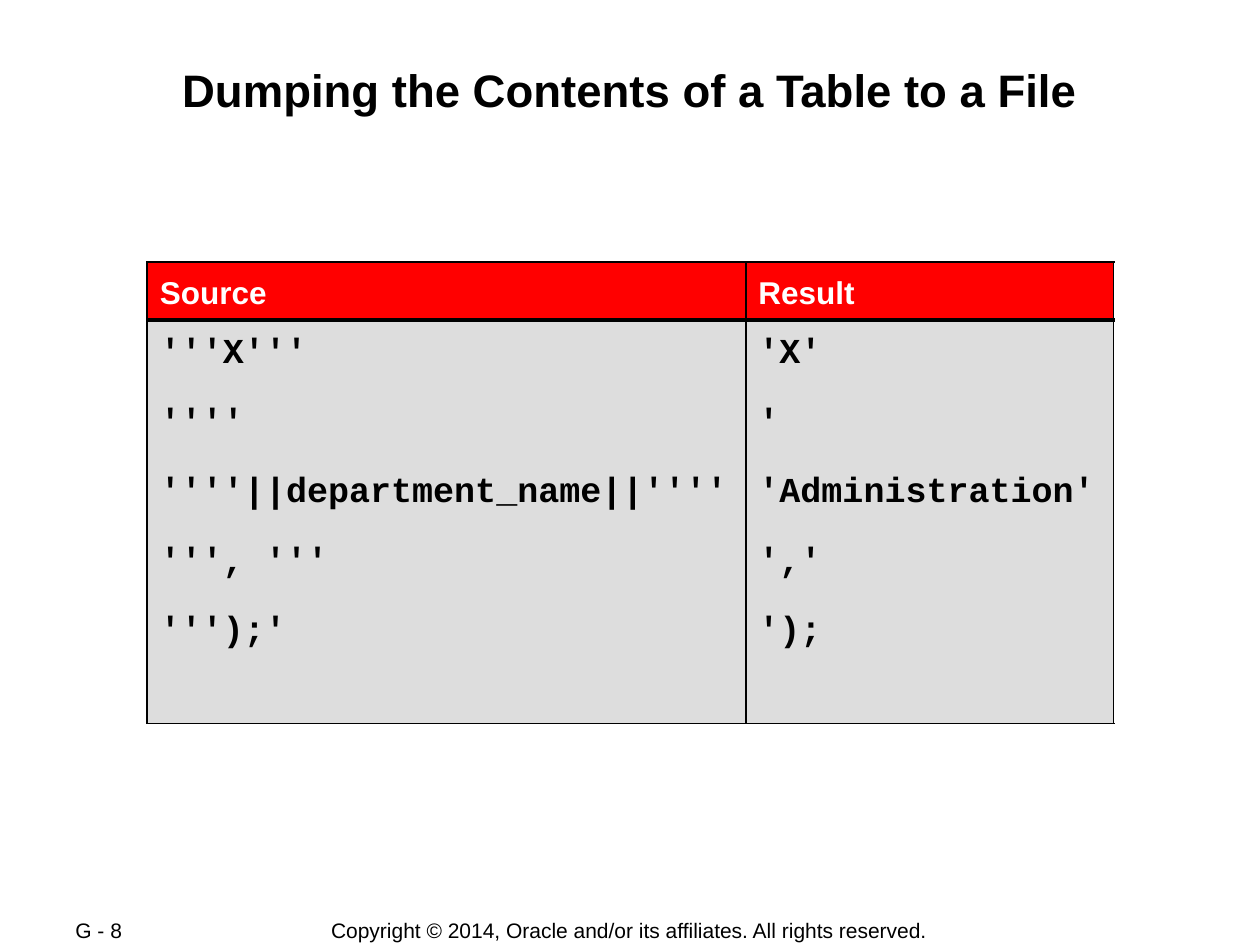
from dataclasses import dataclass

import pptx
import pptx.dml.color
import pptx.enum.text
import pptx.oxml
import pptx.oxml.ns
import pptx.util

Pt = pptx.util.Pt
ALIGN = pptx.enum.text.PP_ALIGN
ANCHOR = pptx.enum.text.MSO_ANCHOR

COLORS = {
    "black": "000000",
    "white": "FFFFFF",
    "header": "FF0000",
    "body": "DDDDDD",
}
THIN, THICK = 1.08, 2.21


@dataclass
class TextArea:
    lines: list[str]
    left: float
    top: float
    width: float
    height: float
    size: float
    align: ALIGN = ALIGN.LEFT
    anchor: ANCHOR = ANCHOR.MIDDLE
    bold: bool = False
    side_margin: float = 7.2
    end_margin: float = 3.6


@dataclass
class TableRow:
    cells: list[list[str]]
    height: float
    fill: str
    color: str
    font: str
    size: float
    gap: float
    top_border: float
    bottom_border: float


TEXT_AREAS = [
    TextArea(["Copyright © 2014, Oracle and/or its affiliates. All rights reserved."],
             179.6, 524.2, 360, 15.1, 12, align=ALIGN.CENTER, side_margin=0),
    TextArea(["G - 8"], 36, 524.2, 76.3, 14.4, 12),
    TextArea(["Dumping the Contents of a Table to a File"],
             48.2, 34.6, 623.5, 69.1, 26, align=ALIGN.CENTER,
             anchor=ANCHOR.TOP, bold=True, side_margin=0.72, end_margin=0.72),
]

COLUMN_WIDTHS = [342, 210.2]
TABLE_LEFT, TABLE_TOP = 84.2, 149.8
TABLE_ROWS = [
    TableRow([["Source"], ["Result"]], 33.1, "header", "white", "Arial", 18, 0,
             THIN, THICK),
    TableRow(
        [
            ["'''X'''", "''''", "''''||department_name||''''", "''', '''", "''');'"],
            ["'X'", "'", "'Administration'", "','", "');"],
        ],
        230.4, "body", "black", "Courier New", 20, 12.5, THICK, THIN),
]


def rgb(name: str) -> pptx.dml.color.RGBColor:
    return pptx.dml.color.RGBColor.from_string(COLORS[name])


def write_text(frame, lines: list[str], *, size: float, font: str = "Arial",
               color: str = "black", bold: bool = False, align=ALIGN.LEFT,
               gap: float = 0, line_spacing: float = 1.0) -> None:
    """Write one paragraph per line, with gap points between them."""
    for index, line in enumerate(lines):
        paragraph = frame.add_paragraph() if index else frame.paragraphs[0]
        paragraph.alignment = align
        paragraph.line_spacing = line_spacing
        paragraph.space_before = Pt(gap if index else 0)
        run = paragraph.add_run()
        run.text = line
        run.font.name = font
        run.font.size = Pt(size)
        run.font.bold = bold
        run.font.color.rgb = rgb(color)


def add_text_area(slide, area: TextArea) -> None:
    box = slide.shapes.add_textbox(
        Pt(area.left), Pt(area.top), Pt(area.width), Pt(area.height))
    frame = box.text_frame
    frame.word_wrap = True
    frame.vertical_anchor = area.anchor
    frame.margin_left = frame.margin_right = Pt(area.side_margin)
    frame.margin_top = frame.margin_bottom = Pt(area.end_margin)
    write_text(frame, area.lines, size=area.size, bold=area.bold, align=area.align)


def set_borders(cell, widths: dict[str, float]) -> None:
    """Draw black borders, ahead of the cell fill as the schema requires."""
    properties = cell._tc.get_or_add_tcPr()
    for position, (side, width) in enumerate(widths.items()):
        border = pptx.oxml.parse_xml(
            f'<a:{side} {pptx.oxml.ns.nsdecls("a")} w="{int(Pt(width))}">'
            f'<a:solidFill><a:srgbClr val="{COLORS["black"]}"/></a:solidFill>'
            f'</a:{side}>')
        properties.insert(position, border)


def add_quote_table(slide) -> None:
    table = slide.shapes.add_table(
        len(TABLE_ROWS), len(COLUMN_WIDTHS), Pt(TABLE_LEFT), Pt(TABLE_TOP),
        Pt(sum(COLUMN_WIDTHS)), Pt(sum(row.height for row in TABLE_ROWS))).table
    table.horz_banding = False
    for column, width in zip(table.columns, COLUMN_WIDTHS):
        column.width = Pt(width)
    for table_row, row in zip(table.rows, TABLE_ROWS):
        table_row.height = Pt(row.height)
        for cell, lines in zip(table_row.cells, row.cells):
            cell.fill.solid()
            cell.fill.fore_color.rgb = rgb(row.fill)
            cell.vertical_anchor = ANCHOR.TOP
            set_borders(cell, {"lnL": THIN, "lnR": THIN,
                               "lnT": row.top_border, "lnB": row.bottom_border})
            write_text(cell.text_frame, lines, size=row.size, font=row.font,
                       color=row.color, bold=True, gap=row.gap, line_spacing=1.2)


def main() -> None:
    presentation = pptx.Presentation()
    presentation.slide_width = Pt(720)
    presentation.slide_height = Pt(540)
    slide = presentation.slides.add_slide(presentation.slide_layouts[6])
    for area in TEXT_AREAS:
        add_text_area(slide, area)
    add_quote_table(slide)
    presentation.save("out.pptx")


if __name__ == "__main__":
    main()
